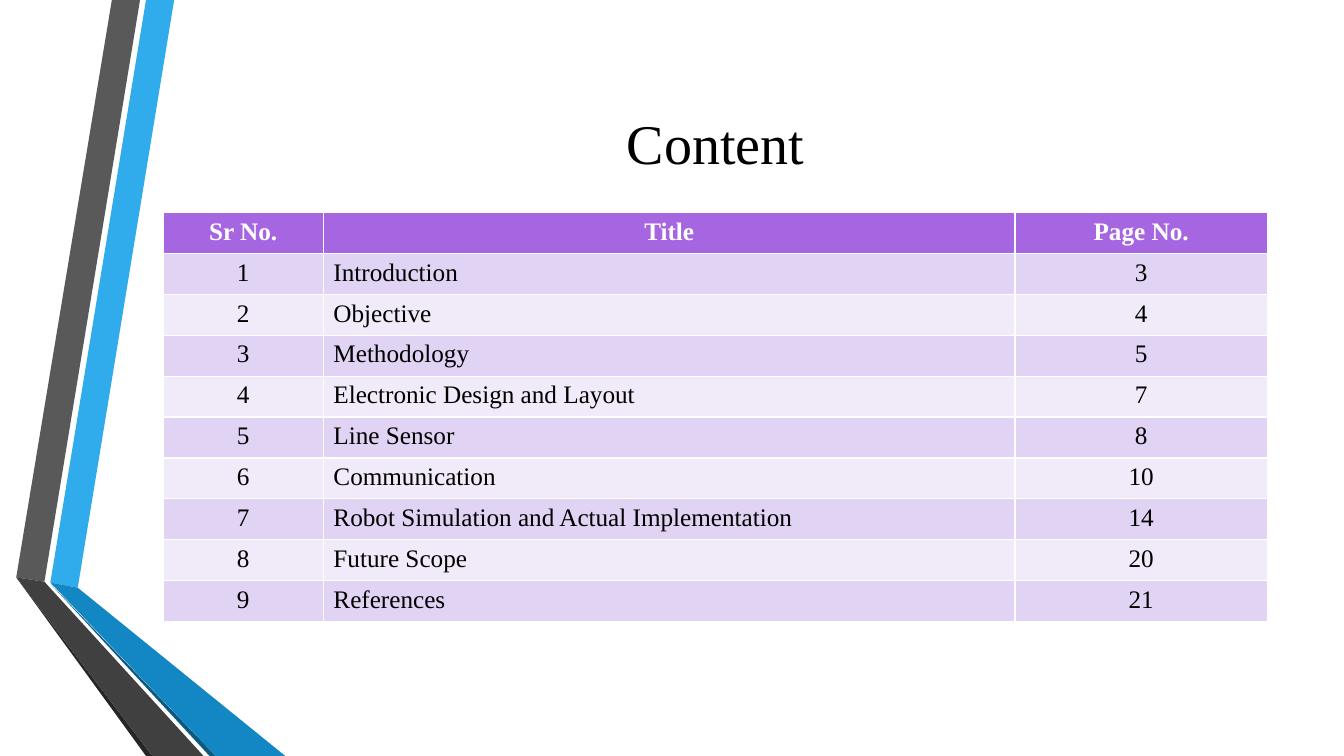
from pptx import Presentation
from pptx.dml.color import RGBColor
from pptx.enum import text
from pptx.util import Cm, Pt

FONT = "Times New Roman"


def paint(fill, color):
    fill.solid()
    fill.fore_color.rgb = RGBColor.from_string(color)


def set_font(p, size, color, bold=False):
    p.font.name, p.font.size, p.font.bold = FONT, Pt(size), bold
    paint(p.font.fill, color)


prs = Presentation()
prs.slide_width, prs.slide_height = Cm(33.87), Cm(19.05)
s = prs.slides.add_slide(prs.slide_layouts[5])  # Title Only

# Folded ribbons on the left edge, in cm
ribbons = [
    ("30ACEC", [(1.27, 14.68), (1.96, 14.81), (4.39, 0), (3.68, 0)]),
    ("595959", [(3.53, 0), (2.82, 0), (0.41, 14.55), (1.12, 14.66)]),
    ("262626", [(0.41, 14.55), (3.68, 19.05), (3.84, 19.05)]),
    ("0C5A82", [(1.27, 14.71), (5.28, 19.05), (5.44, 19.05)]),
    ("1287C3", [(1.27, 14.68), (5.44, 19.05), (7.19, 19.05), (1.96, 14.81)]),
    ("404040", [(5.13, 19.05), (1.12, 14.66), (0.41, 14.55), (3.84, 19.05)]),
]
for color, corners in ribbons:
    points = [(Cm(x), Cm(y)) for x, y in corners]
    builder = s.shapes.build_freeform(*points[0])
    builder.add_line_segments(points[1:])
    sp = builder.convert_to_shape()
    sp.shadow.inherit = False
    paint(sp.fill, color)
    sp.line.fill.background()

title = s.shapes.title
title.left, title.top, title.width, title.height = Cm(4.11), Cm(1.91), Cm(27.84), Cm(4.88)
tf = title.text_frame
tf.text = "Content"
tf.vertical_anchor = text.MSO_ANCHOR.MIDDLE
tf.margin_bottom = Cm(1.68)  # lifts the title clear of the table
p = tf.paragraphs[0]
p.alignment = text.PP_ALIGN.CENTER
set_font(p, 40, "000000")

rows = [
    ("Sr No.", "Title", "Page No."),
    ("1", "Introduction", "3"),
    ("2", "Objective", "4"),
    ("3", "Methodology", "5"),
    ("4", "Electronic Design and Layout", "7"),
    ("5", "Line Sensor", "8"),
    ("6", "Communication", "10"),
    ("7", "Robot Simulation and Actual Implementation", "14"),
    ("8", "Future Scope", "20"),
    ("9", "References", "21"),
]
widths = [4.04, 17.43, 6.36]
row_height = 1.03
table = s.shapes.add_table(len(rows), len(widths), Cm(4.11), Cm(5.36),
                           Cm(sum(widths)), Cm(row_height * len(rows))).table
for column, width in zip(table.columns, widths):
    column.width = Cm(width)

for i, row in enumerate(rows):
    table.rows[i].height = Cm(row_height)
    header = i == 0
    band = "A666E1" if header else ("F1EAF9", "E1D3F4")[i % 2]
    for j, value in enumerate(row):
        cell = table.cell(i, j)
        paint(cell.fill, band)
        cell.text = value
        p = cell.text_frame.paragraphs[0]
        left = j == 1 and not header
        p.alignment = text.PP_ALIGN.LEFT if left else text.PP_ALIGN.CENTER
        set_font(p, 18, "FFFFFF" if header else "000000", header)

prs.save("out.pptx")
